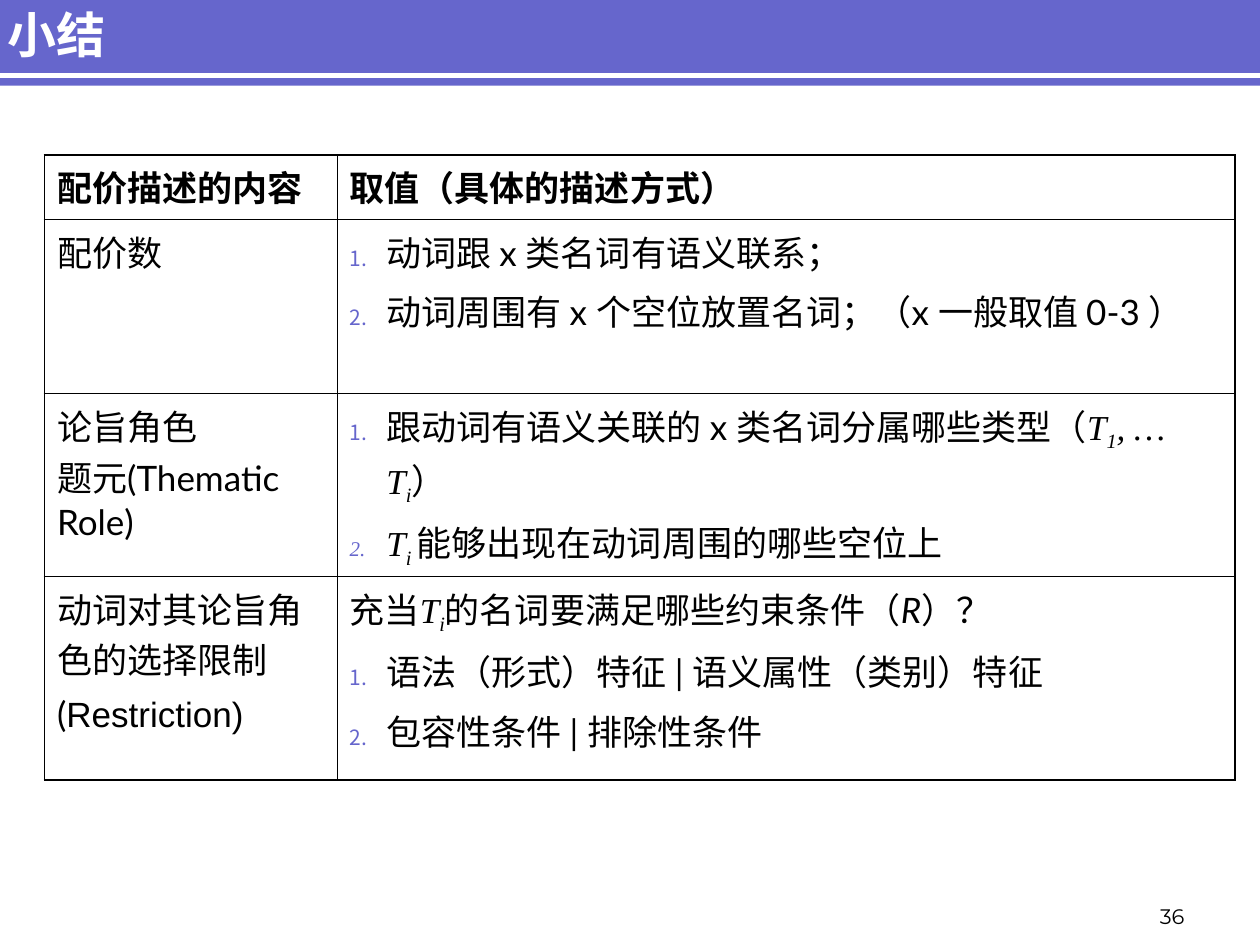
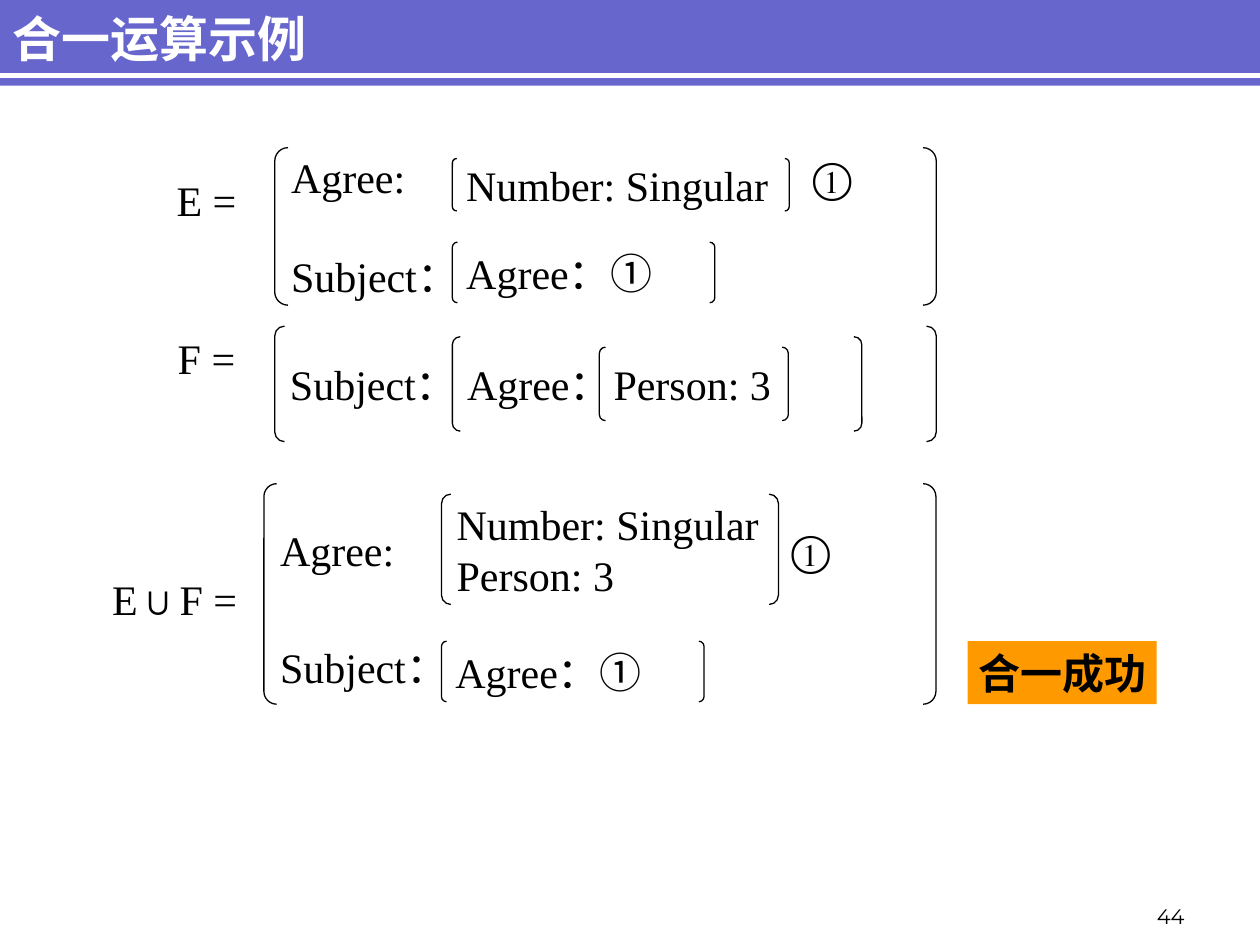
from lxml import etree
from pptx import Presentation
from pptx.dml.color import RGBColor
from pptx.enum.shapes import MSO_CONNECTOR, MSO_SHAPE
from pptx.enum.text import MSO_ANCHOR, MSO_AUTO_SIZE, PP_ALIGN
from pptx.oxml.ns import qn
from pptx.util import Pt

RECT, BRACKETS = MSO_SHAPE.RECTANGLE, MSO_SHAPE.DOUBLE_BRACKET
STRAIGHT = MSO_CONNECTOR.STRAIGHT
LEFT, CENTER, RIGHT = PP_ALIGN.LEFT, PP_ALIGN.CENTER, PP_ALIGN.RIGHT
TOP, MIDDLE, BOTTOM = MSO_ANCHOR.TOP, MSO_ANCHOR.MIDDLE, MSO_ANCHOR.BOTTOM
NO_FIT = MSO_AUTO_SIZE.NONE

VIOLET, ORANGE, WHITE, BLACK = "6666CC", "FF9900", "FFFFFF", "000000"
CJK, BODY, SERIF = "Noto Sans CJK SC", "Lato", "Times New Roman"
WIDTH, HEIGHT = 720, 540
THICK, THIN = 1.08, 0.45

VAR = {"font": SERIF, "italic": True}
SUB = {**VAR, "sub": True}
HEADINGS = ["配价描述的内容", "取值（具体的描述方式）"]
ROWS = [
    ([(False, [("配价数", {})])],
     [(True, [("动词跟 x 类名词有语义联系；", {})]),
      (True, [("动词周围有 x 个空位放置名词；（x 一般取值 0-3 ）", {})])]),
    ([(False, [("论旨角色\n题元(Thematic Role)", {})])],
     [(True, [("跟动词有语义关联的 x 类名词分属哪些类型（", {}), ("T", VAR), ("1", SUB),
              (", … T", VAR), ("i", SUB), ("）", {})]),
      (True, [("T", VAR), ("i ", SUB), ("能够出现在动词周围的哪些空位上", {})])]),
    ([(False, [("动词对其论旨角色的选择限制", {})]),
      (False, [("(", {}), ("Restriction)", {"font": "Arial"})])],
     [(False, [("充当", {}), ("T", VAR), ("i", SUB), ("的名词要满足哪些约束条件（", {}),
               ("R", {"italic": True}), ("）？", {})]),
      (True, [("语法（形式）特征 | 语义属性（类别）特征", {})]),
      (True, [("包容性条件 | 排除性条件", {})])]),
]


def rgb(color):
    return RGBColor.from_string(color)


def add_xml(parent, tag, **attrs):
    return etree.SubElement(parent, qn(tag), {k: str(v) for k, v in attrs.items()})


def write(p, text, size=20, font=BODY, color=BLACK, bold=False, italic=False, sub=False):
    for i, line in enumerate(text.split("\n")):
        if i:
            p.add_line_break()
        r = p.add_run()
        r.text = line
        f = r.font
        f.size, f.name, f.bold, f.italic = Pt(size), font, bold, italic
        f.color.rgb = rgb(color)
        rPr = r._r.get_or_add_rPr()
        add_xml(rPr, "a:ea", typeface=CJK)
        if sub:
            rPr.set("baseline", "-25000")


def set_frame(tf, anchor=MIDDLE, side=7.2, top=3.6, right=None):
    tf.word_wrap, tf.auto_size, tf.vertical_anchor = True, NO_FIT, anchor
    tf.margin_left = Pt(side)
    tf.margin_right = Pt(side if right is None else right)
    tf.margin_top, tf.margin_bottom = Pt(top), Pt(3.6)


def set_box(sp, x, y, w, h):
    sp.left, sp.top, sp.width, sp.height = Pt(x), Pt(y), Pt(w), Pt(h)


def add_shape(s, kind, x, y, w, h, fill=None, line=None):
    sp = s.shapes.add_shape(kind, Pt(x), Pt(y), Pt(w), Pt(h))
    sp.shadow.inherit = False
    if fill:
        sp.fill.solid()
        sp.fill.fore_color.rgb = rgb(fill)
    else:
        sp.fill.background()
    if line:
        sp.line.color.rgb = rgb(line)
        sp.line.width = Pt(0.75)
    else:
        sp.line.fill.background()
    return sp


def add_label(s, text, x, y, w, h, align=CENTER, anchor=TOP, **fmt):
    sp = s.shapes.add_textbox(Pt(x), Pt(y), Pt(w), Pt(h))
    set_frame(sp.text_frame, anchor)
    p = sp.text_frame.paragraphs[0]
    p.alignment = align
    write(p, text, **fmt)


def add_band_to_layout(s):
    band = add_shape(s, RECT, 0, 0, WIDTH, 49, fill=VIOLET)
    rule = s.shapes.add_connector(STRAIGHT, Pt(0), Pt(43.2), Pt(WIDTH), Pt(43.2))
    rule.line.color.rgb = rgb(WHITE)
    rule.line.width = Pt(3)
    add_xml(rule._element.spPr, "a:effectLst")
    for sp in (band, rule):
        s.slide_layout.shapes._spTree.append(sp._element)


def add_slide(prs, title, number, box):
    s = prs.slides.add_slide(prs.slide_layouts[5])
    if len(prs.slides) == 1:
        add_band_to_layout(s)
    sp = s.shapes.title
    set_box(sp, *box)
    set_frame(sp.text_frame)
    p = sp.text_frame.paragraphs[0]
    p.alignment = LEFT
    write(p, title, size=28, font=CJK, color=WHITE, bold=True)
    add_label(s, number, 534, 498, 150, 36, align=RIGHT, anchor=BOTTOM, size=12, font="Montserrat")
    return s


def number_paragraph(p):
    pPr = p._p.get_or_add_pPr()
    pPr.set("marL", str(Pt(21)))
    pPr.set("indent", str(Pt(-21)))
    add_xml(add_xml(pPr, "a:buClr"), "a:srgbClr", val=VIOLET)
    add_xml(pPr, "a:buSzPct", val=60000)
    add_xml(pPr, "a:buAutoNum", type="arabicPeriod")


def set_borders(cell, widths):
    tcPr = cell._tc.get_or_add_tcPr()
    for side, width in zip("LRTB", widths):
        ln = add_xml(tcPr, f"a:ln{side}", w=Pt(width))
        add_xml(add_xml(ln, "a:solidFill"), "a:srgbClr", val=BLACK)


def fill_cell(cell, paragraphs):
    tf = cell.text_frame
    for i, (numbered, runs) in enumerate(paragraphs):
        p = tf.add_paragraph() if i else tf.paragraphs[0]
        p.space_before = Pt(5)
        if numbered:
            number_paragraph(p)
        for text, fmt in runs:
            write(p, text, **fmt)


def add_valency_table(s, x, y, col_widths, row_heights):
    header = [[(False, [(text, {"bold": True})])] for text in HEADINGS]
    rows = [header, *ROWS]
    table = s.shapes.add_table(len(rows), len(header), Pt(x), Pt(y),
                               Pt(sum(col_widths)), Pt(sum(row_heights))).table
    table.first_row = table.horz_banding = False
    for col, w in zip(table.columns, col_widths):
        col.width = Pt(w)
    for row, h in zip(table.rows, row_heights):
        row.height = Pt(h)
    last_row, last_col = len(rows) - 1, len(header) - 1
    for i, row in enumerate(rows):
        for j, paragraphs in enumerate(row):
            cell = table.cell(i, j)
            outer = (j == 0, j == last_col, i == 0, i == last_row)
            set_borders(cell, [THICK if edge else THIN for edge in outer])
            cell.fill.background()
            fill_cell(cell, paragraphs)


def add_brackets(s, lines, x, y, w, h, adj=0.084, gap=0, top=3.6, spacing=None, tab=None):
    sp = add_shape(s, BRACKETS, x, y, w, h, line=BLACK)
    sp.adjustments[0] = adj
    tf = sp.text_frame
    set_frame(tf, top=top, right=0)
    for i, text in enumerate(lines):
        p = tf.add_paragraph() if i else tf.paragraphs[0]
        p.alignment = LEFT
        if spacing:
            p.line_spacing = spacing
        if i and gap:
            p.space_before = Pt(gap)
        if tab:
            tabs = add_xml(p._p.get_or_add_pPr(), "a:tabLst")
            add_xml(tabs, "a:tab", pos=Pt(tab), algn="l")
        write(p, text, size=24, font=SERIF)


def add_name(s, text, x, y, w):
    add_label(s, text, x, y, w, 36, size=24, font=SERIF)


def add_structure_e(s, x, y):
    add_name(s, "E =", x - 66, y + 12, 54)
    add_brackets(s, ["Agree:\t①", "Subject："], x, y, 378, 90, gap=27.6, tab=298)
    add_brackets(s, ["Number: Singular"], x + 101.5, y + 6.2, 192.5, 30)
    add_brackets(s, ["Agree：①"], x + 101.5, y + 54, 150, 34.6)


def add_structure_f(s, x, y):
    add_name(s, "F =", x - 66, y, 54)
    add_brackets(s, ["Subject："], x, y, 378, 66)
    add_brackets(s, ["Agree："], x + 101.5, y + 6, 234, 54)
    add_brackets(s, ["Person: 3"], x + 185.5, y + 12, 108, 42)


def add_unified_structure(s, x, y):
    add_name(s, "E∪F =", x - 102, y + 48, 102)
    add_brackets(s, ["Agree:\t①", "Subject："], x, y, 384, 126, adj=0.058,
                 gap=44, top=25.6, spacing=0.8, tab=292)
    add_brackets(s, ["Number: Singular", "Person: 3"], x + 101.5, y + 6, 192.5, 63)
    add_brackets(s, ["Agree：①"], x + 101.5, y + 90, 150, 34.6)


def add_verdict(s, text, x, y, w, h):
    sp = add_shape(s, RECT, x, y, w, h, fill=ORANGE)
    set_frame(sp.text_frame, side=0)
    p = sp.text_frame.paragraphs[0]
    p.alignment = CENTER
    write(p, text, size=24, font="Arial", bold=True)


def main():
    prs = Presentation()
    prs.slide_width, prs.slide_height = Pt(WIDTH), Pt(HEIGHT)

    s = add_slide(prs, "小结", "36", (-2.9, 3.6, 631, 31))
    add_valency_table(s, 25.4, 88.5, [167.2, 513.2], [36.7, 99.5, 104, 116.5])

    s = add_slide(prs, "合一运算示例", "44", (0, 0, 343, 43.2))
    add_structure_e(s, 157, 84.4)
    add_structure_f(s, 157, 186.4)
    add_unified_structure(s, 150.8, 276.4)
    add_verdict(s, "合一成功", 553, 366.4, 108, 36)

    prs.save("out.pptx")


if __name__ == "__main__":
    main()
